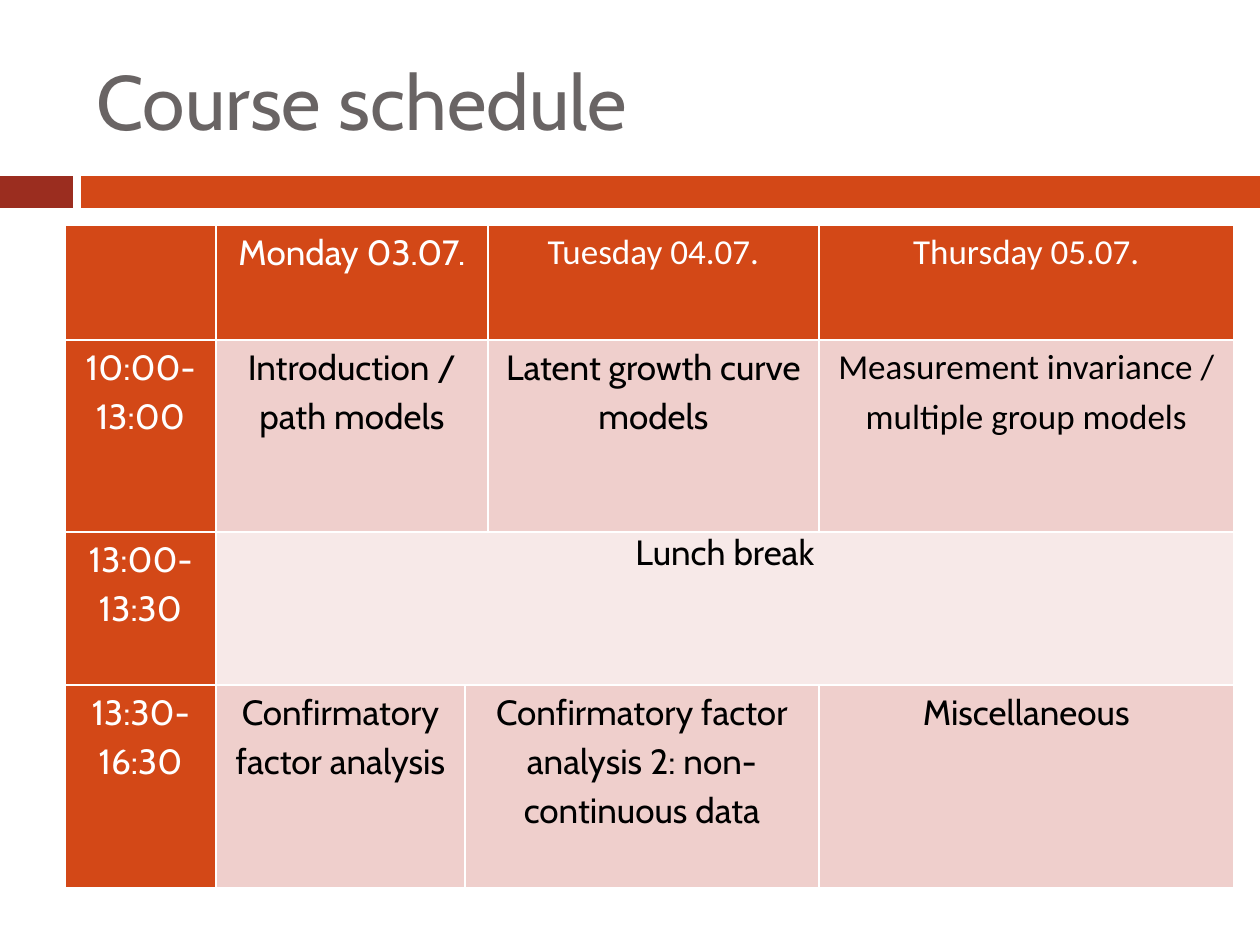
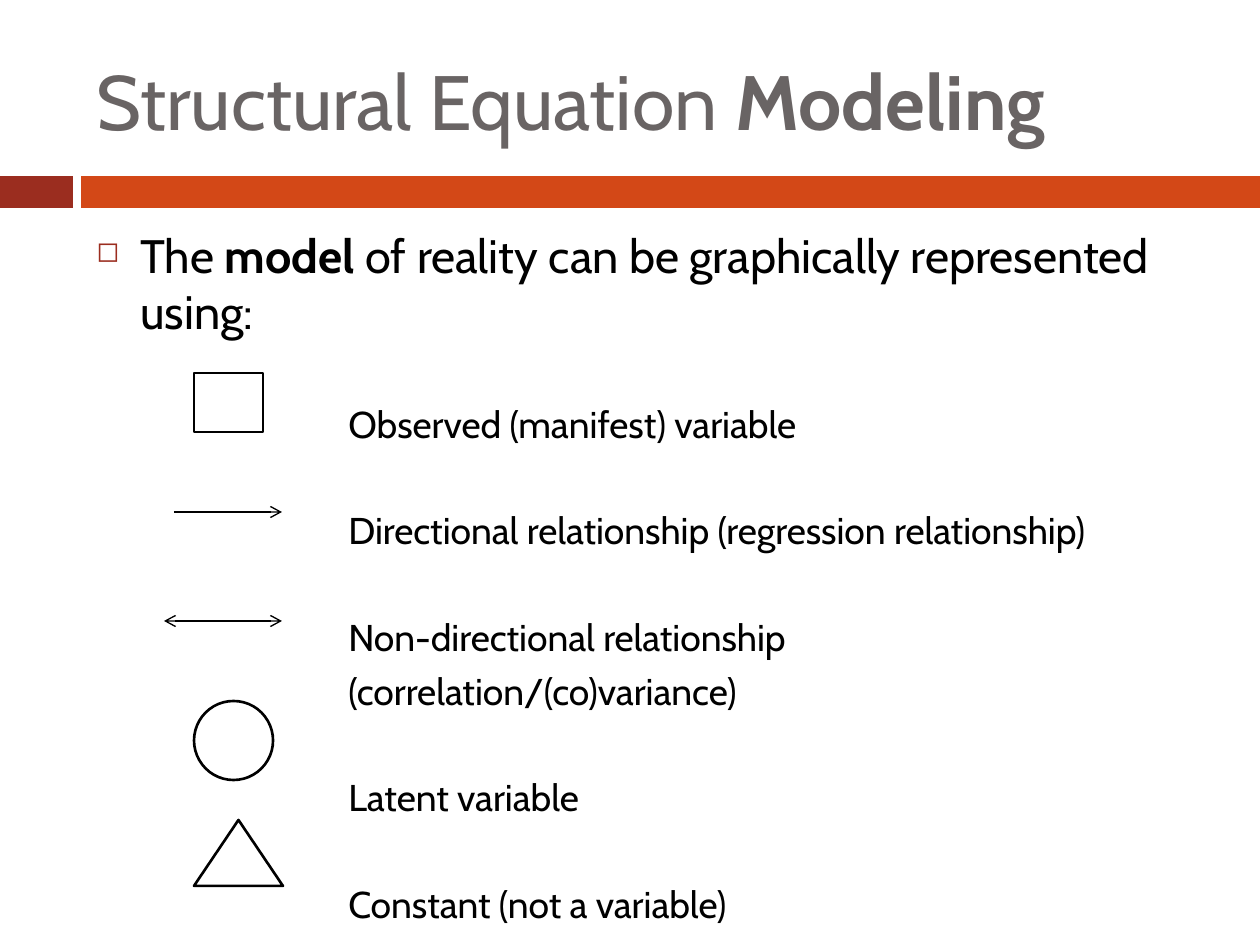
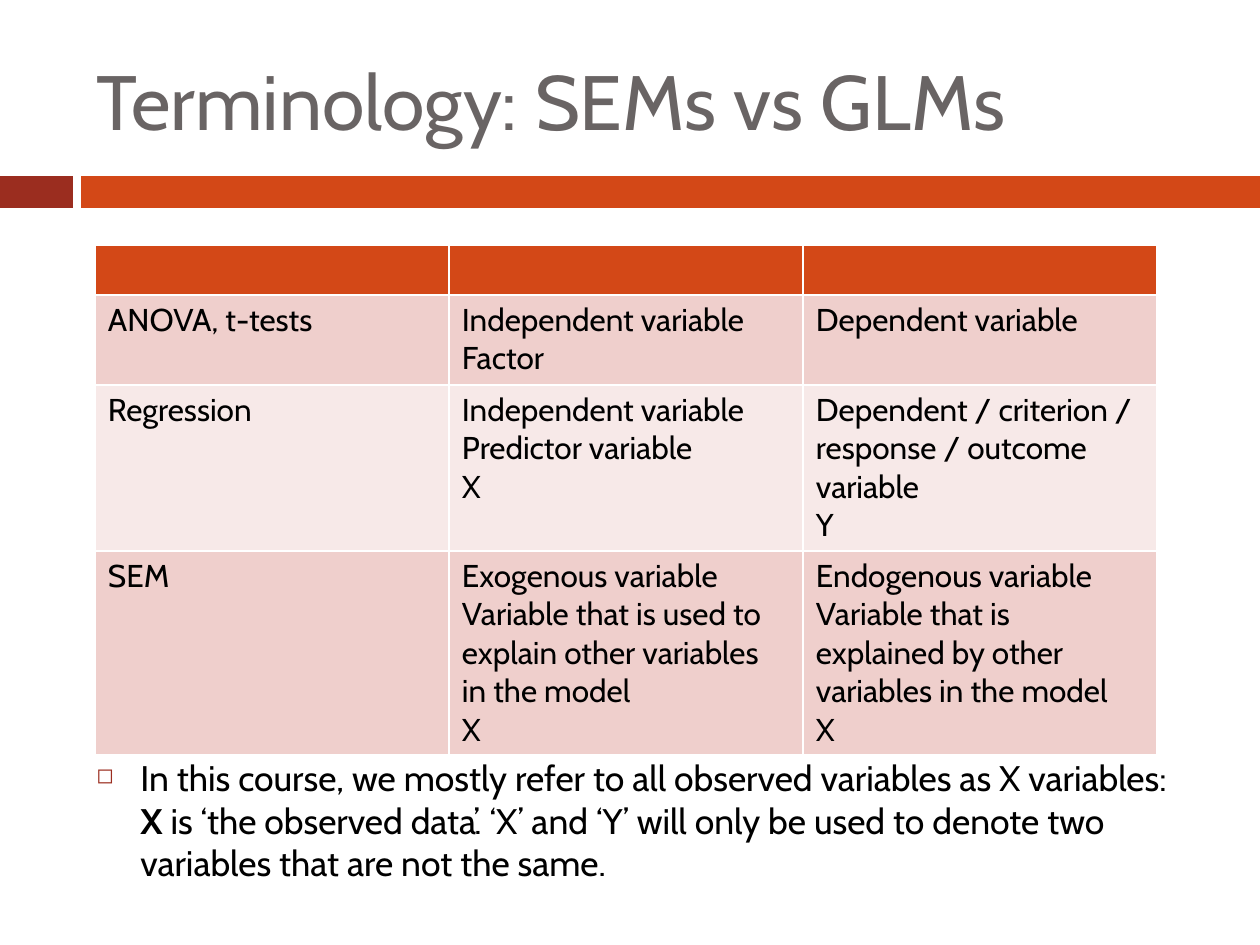
import pptx
import pptx.dml.color
import pptx.enum.shapes
import pptx.enum.text
import pptx.oxml
import pptx.oxml.ns
import pptx.util
from lxml import etree

RGBColor = pptx.dml.color.RGBColor
MSO_SHAPE = pptx.enum.shapes.MSO_SHAPE
PP_ALIGN = pptx.enum.text.PP_ALIGN
qn = pptx.oxml.ns.qn

# Shared look
EMU_PER_INCH = 914400
PX_PER_INCH = 126
SLIDE_WIDTH, SLIDE_HEIGHT = 1260, 945
BODY_LEFT, BODY_WIDTH = 84, 1124
INSET_X, INSET_Y = 13, 6
FONT = "Cabin"
SECOND_FONT = "Calibri"
WHITE = RGBColor(0xFF, 0xFF, 0xFF)
BLACK = RGBColor(0x00, 0x00, 0x00)
TITLE_GREY = RGBColor(0x69, 0x64, 0x64)
BRICK = RGBColor(0x9B, 0x2D, 0x1F)
ORANGE = RGBColor(0xD3, 0x48, 0x17)
ROSE = RGBColor(0xEF, 0xCF, 0xCC)
PALE_ROSE = RGBColor(0xF7, 0xE9, 0xE8)

# Table content: None continues the cell to its left
SCHEDULE = [
    ["", "Monday 03.07.", None, "Tuesday 04.07.", "Thursday 05.07."],
    ["10:00-13:00", "Introduction / path models", None,
     "Latent growth curve models",
     "Measurement invariance / multiple group models"],
    ["13:00-13:30", "Lunch break", None, None, None],
    ["13:30-16:30", "Confirmatory factor analysis",
     "Confirmatory factor analysis 2: non-continuous data", None,
     "Miscellaneous"],
]
SECOND_FONT_CELLS = {(0, 3), (0, 4), (1, 4)}
TERMS = [
    ["", "", ""],
    ["ANOVA, t-tests", "Independent variable\nFactor", "Dependent variable"],
    ["Regression", "Independent variable\nPredictor variable\nX",
     "Dependent / criterion / response / outcome variable\nY"],
    ["SEM",
     "Exogenous variable\nVariable that is used to explain other variables "
     "in the model\nX",
     "Endogenous variable\nVariable that is explained by other variables "
     "in the model\nX"],
]

# Symbol labels with the space before each, in points
LABEL_GAP, LINE_GAP = 35.5, 5
SYMBOL_LABELS = [
    ("Observed (manifest) variable", LABEL_GAP),
    ("Directional relationship (regression relationship)", LABEL_GAP),
    ("Non-directional relationship", LABEL_GAP),
    ("(correlation/(co)variance)", LINE_GAP),
    ("Latent variable", LABEL_GAP),
    ("Constant (not a variable)", LABEL_GAP),
]


def px(length):
    return pptx.util.Emu(round(length * EMU_PER_INCH / PX_PER_INCH))


# Text
def format_run(run, size, color, font=FONT, bold=False):
    run.font.name = font
    run.font.size = pptx.util.Pt(size)
    run.font.color.rgb = color
    run.font.bold = bold


def add_runs(paragraph, parts, size, color):
    """Write (text, bold) parts into one paragraph."""
    for text, bold in parts:
        run = paragraph.add_run()
        run.text = text
        format_run(run, size, color, bold=bold)


def add_text_box(slide, left, top, width, height):
    box = slide.shapes.add_textbox(px(left), px(top), px(width), px(height))
    box.text_frame.word_wrap = True
    return box.text_frame


def indent(paragraph, margin, first_line=0):
    properties = paragraph._p.get_or_add_pPr()
    properties.set("marL", str(px(margin)))
    properties.set("indent", str(px(first_line)))
    return properties


def add_bulleted(paragraph, parts, size):
    add_runs(paragraph, parts, size, BLACK)
    paragraph.space_before = pptx.util.Pt(7)
    properties = indent(paragraph, 44, -44)
    color = etree.SubElement(properties, qn("a:buClr"))
    etree.SubElement(color, qn("a:srgbClr"), val=str(BRICK))
    etree.SubElement(properties, qn("a:buSzPct"), val="60000")
    etree.SubElement(properties, qn("a:buChar"), char="◻")


# Shapes and lines
def add_box(slide, kind, left, top, width, height, fill, line=None):
    shape = slide.shapes.add_shape(kind, px(left), px(top), px(width), px(height))
    shape.shadow.inherit = False
    shape.fill.solid()
    shape.fill.fore_color.rgb = fill
    if line is None:
        shape.line.fill.background()
    else:
        shape.line.color.rgb = line
        shape.line.width = pptx.util.Pt(1.5)


def add_arrow(slide, left, right, y, both_ends=False):
    connector = slide.shapes.add_connector(
        pptx.enum.shapes.MSO_CONNECTOR.STRAIGHT, px(left), px(y), px(right), px(y))
    connector.line.color.rgb = BLACK
    connector.line.width = pptx.util.Pt(0.79)
    line = connector.line._get_or_add_ln()
    for end in ["headEnd", "tailEnd"] if both_ends else ["tailEnd"]:
        etree.SubElement(line, qn("a:" + end), type="arrow")
    etree.SubElement(connector._element.spPr, qn("a:effectLst"))


# Tables
def style_cell(cell, fill):
    properties = cell._tc.get_or_add_tcPr()
    for side in ("lnL", "lnR", "lnT", "lnB"):
        border = etree.SubElement(properties, qn("a:" + side),
                                  w=str(pptx.util.Pt(1)))
        solid = etree.SubElement(border, qn("a:solidFill"))
        etree.SubElement(solid, qn("a:srgbClr"), val=str(WHITE))
    cell.fill.solid()
    cell.fill.fore_color.rgb = fill


def write_cell(cell, text, size, color, font=FONT):
    cell.text_frame.text = text
    for paragraph in cell.text_frame.paragraphs:
        for run in paragraph.runs:
            format_run(run, size, color, font)


def add_grid(slide, left, top, widths, heights):
    table = slide.shapes.add_table(
        len(heights), len(widths), px(left), px(top),
        px(sum(widths)), px(sum(heights))).table
    table.first_row = False
    table.horz_banding = False
    for column, width in zip(table.columns, widths):
        column.width = px(width)
    for row, height in zip(table.rows, heights):
        row.height = px(height)
    return table


def row_fill(row):
    if row == 0:
        return ORANGE
    return ROSE if row % 2 else PALE_ROSE


def merge_continued(table, row, texts):
    for column, text in enumerate(texts):
        last = column
        while last + 1 < len(texts) and texts[last + 1] is None:
            last += 1
        if text is not None and last > column:
            table.cell(row, column).merge(table.cell(row, last))


# Slides
def add_titled_slide(presentation, *title_parts):
    slide = presentation.slides.add_slide(presentation.slide_layouts[6])
    add_box(slide, MSO_SHAPE.RECTANGLE, 0, 176, 73, 32, BRICK)
    add_box(slide, MSO_SHAPE.RECTANGLE, 81, 176, SLIDE_WIDTH - 81, 32, ORANGE)
    frame = add_text_box(slide, BODY_LEFT, 32, BODY_WIDTH, 136)
    frame.vertical_anchor = pptx.enum.text.MSO_ANCHOR.MIDDLE
    add_runs(frame.paragraphs[0], title_parts, 44, TITLE_GREY)
    return slide


def build_schedule(presentation):
    slide = add_titled_slide(presentation, ("Course schedule", False))
    table = add_grid(slide, 65, 225, [151, 249, 23, 331, 415],
                     [115, 192, 153, 203])
    for row, texts in enumerate(SCHEDULE):
        for column, text in enumerate(texts):
            cell = table.cell(row, column)
            heading = row == 0 or column == 0
            style_cell(cell, ORANGE if heading else row_fill(row))
            cell.margin_left = cell.margin_right = px(9)
            cell.margin_top = cell.margin_bottom = 0
            if text is None:
                continue
            font = SECOND_FONT if (row, column) in SECOND_FONT_CELLS else FONT
            write_cell(cell, text, 20, WHITE if heading else BLACK, font)
            paragraph = cell.text_frame.paragraphs[0]
            paragraph.alignment = PP_ALIGN.CENTER
            if text != "Lunch break":
                paragraph.line_spacing = 1.15
        merge_continued(table, row, texts)


def build_symbols(presentation):
    slide = add_titled_slide(presentation, ("Structural Equation ", False),
                             ("Modeling", True))
    frame = add_text_box(slide, BODY_LEFT, 220, BODY_WIDTH, 669)
    add_bulleted(frame.paragraphs[0], [
        ("The ", False), ("model", True),
        (" of reality can be graphically represented using:", False)], 26.8)
    for text, gap in SYMBOL_LABELS:
        paragraph = frame.add_paragraph()
        paragraph.text = text
        paragraph.space_before = pptx.util.Pt(gap)
        indent(paragraph, 252)
        format_run(paragraph.runs[0], 21.3, BLACK)

    # Symbols, top to bottom
    add_box(slide, MSO_SHAPE.RECTANGLE, 194, 373, 69, 59, WHITE, BLACK)
    add_arrow(slide, 174, 282, 512)
    add_arrow(slide, 164, 282, 621, both_ends=True)
    add_box(slide, MSO_SHAPE.OVAL, 194, 701, 79, 79, WHITE, BLACK)
    add_box(slide, MSO_SHAPE.ISOSCELES_TRIANGLE, 194, 820, 89, 66, WHITE, BLACK)


def build_terminology(presentation):
    slide = add_titled_slide(presentation, ("Terminology: SEMs vs GLMs", False))
    table = add_grid(slide, 95, 245, [354] * 3, [50, 90, 166, 204])
    for row, texts in enumerate(TERMS):
        for column, text in enumerate(texts):
            cell = table.cell(row, column)
            style_cell(cell, row_fill(row))
            cell.margin_left = cell.margin_right = px(INSET_X)
            cell.margin_top = cell.margin_bottom = px(INSET_Y)
            write_cell(cell, text, 18, BLACK)
    frame = add_text_box(slide, BODY_LEFT, 750, BODY_WIDTH, 118)
    add_bulleted(frame.paragraphs[0], [
        ("In this course, we mostly refer to all observed variables as "
         "X variables: ", False),
        ("X", True),
        (" is ‘the observed data’. ‘X’ and ‘Y’ will only be used to denote "
         "two variables that are not the same.", False)], 20.3)


def main():
    presentation = pptx.Presentation()
    presentation.slide_width = px(SLIDE_WIDTH)
    presentation.slide_height = px(SLIDE_HEIGHT)
    build_schedule(presentation)
    build_symbols(presentation)
    build_terminology(presentation)
    presentation.save("out.pptx")


if __name__ == "__main__":
    main()
